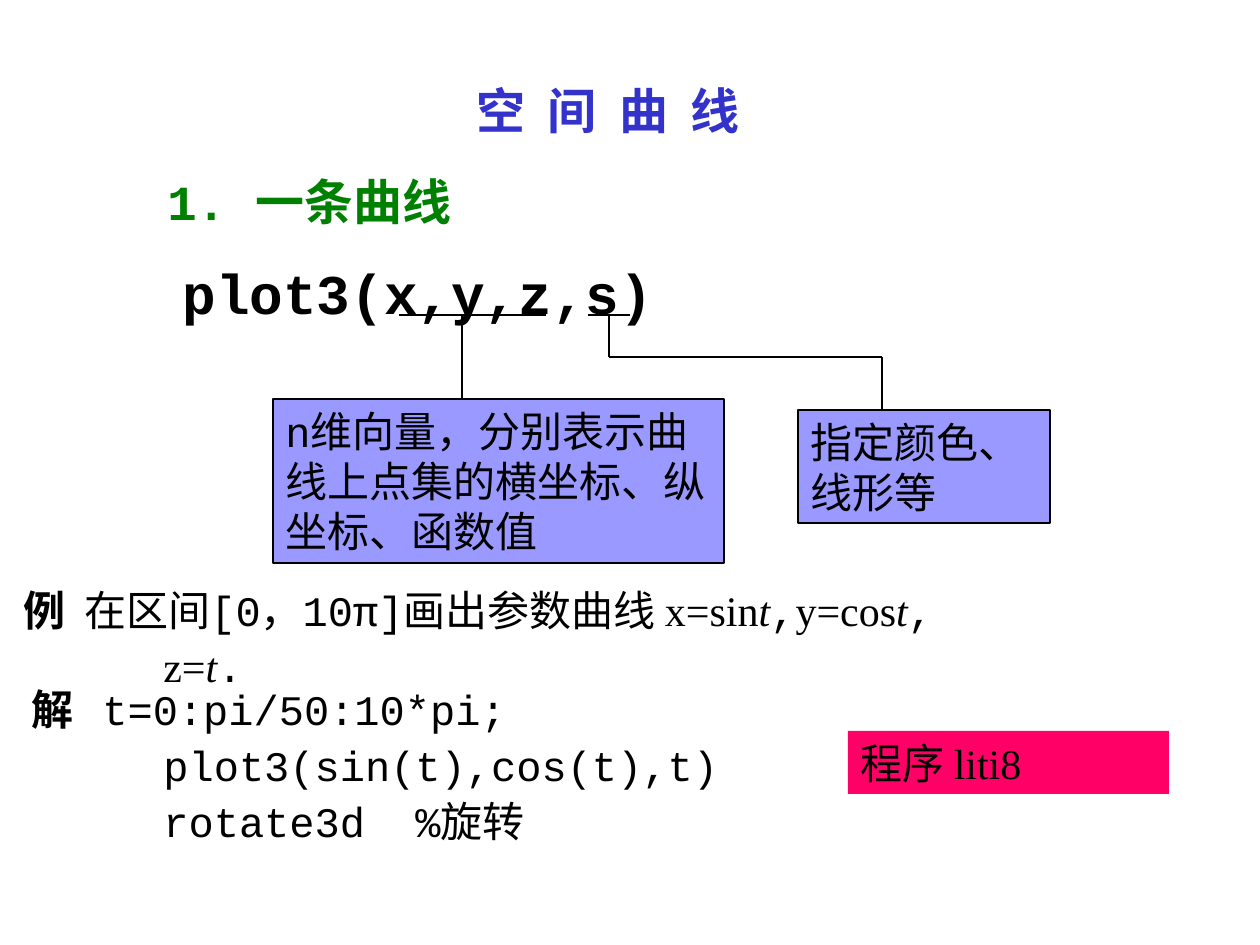
from itertools import pairwise

from lxml.etree import SubElement
from pptx import Presentation
from pptx.dml.color import RGBColor
from pptx.enum.shapes import MSO_CONNECTOR, MSO_SHAPE
from pptx.oxml.ns import qn
from pptx.util import Emu, Pt

PIXEL = 914400 // 126
CODE, SERIF = "Courier New", "Times New Roman"
MATH = {"font": SERIF}
VARIABLE = {"font": SERIF, "italic": True}
BOLD = {"bold": True}
HEADING = {"size": 28, "bold": True}

# Each paragraph: text margin, first-line indent, spans of (text, format).
TEXT_BOXES = [
    {"area": (42, 252, 1218, 126), "before": 8, "paragraphs": [
        (128, 0, [("plot3(x,y,z,s)", {"size": 32, "bold": True})])]},
    {"area": (453, 74, 315, 72), "before": 7, "paragraphs": [
        (11, 0, [("空 间 曲 线", {**HEADING, "color": "3333CC", "spacing": 3.3})])]},
    {"area": (0, 165, 672, 72), "before": 7, "paragraphs": [
        (155, 0, [("1. 一条曲线", {**HEADING, "color": "008000"})])]},
    {"area": (0, 584, 1365, 122), "before": 6, "line": 0.9, "paragraphs": [
        (72, -61, [("例\t", BOLD), ("在区间[0，10π]画出参数曲线 ", {}),
                   ("x=sin", MATH), ("t", VARIABLE), (",", {}),
                   ("y=cos", MATH), ("t", VARIABLE), (",", {})]),
        (151, 0, [("z=", MATH), ("t", VARIABLE), (".", {})])]},
    {"area": (0, 683, 742, 170), "before": 6, "line": 0.9, "paragraphs": [
        (90, -71, [("解\t", BOLD), ("t=0:pi/50:10*pi;", {})]),
        (151, 0, [("plot3(sin(t),cos(t),t)", {})]),
        (151, 0, [("rotate3d", {}), (" ", {"spacing": 14.4}), ("%旋转", {})])]},
    {"area": (848, 731, 321, 63), "before": 15, "fill": "FF0066", "paragraphs": [
        (0, 0, [("程序 liti8", MATH)])]},
]

# Each callout: a note box, an underline below the arguments, a leader to the box.
CALLOUTS = [
    {"area": (273, 399, 451, 164), "note": "n维向量，分别表示曲线上点集的横坐标、纵坐标、函数值",
     "underline": [(399, 315), (546, 315)],
     "leader": [(462, 315), (462, 399)]},
    {"area": (798, 410, 252, 113), "note": "指定颜色、线形等",
     "underline": [(588, 315), (630, 315)],
     "leader": [(609, 315), (609, 357), (882, 357), (882, 410)]},
]


def px(*values):
    """Turn pixels into EMU lengths."""
    return [Emu(value * PIXEL) for value in values]


def rgb(value):
    """Turn a hex string into a colour."""
    return RGBColor.from_string(value)


def add_span(para, text, size=24, font=CODE, color="000000",
             bold=False, italic=False, spacing=None):
    """Add one formatted piece of text to a paragraph."""
    span = para.add_run()
    span.text = text
    span.font.size, span.font.name = Pt(size), font
    span.font.bold, span.font.italic = bold, italic
    span.font.color.rgb = rgb(color)
    if spacing:
        span.font._element.set("spc", str(round(spacing * 100)))


def add_text_box(shapes, area, paragraphs, before, line=None, fill=None, border=None):
    """Add a box of text, plain or as a filled rectangle."""
    if fill:
        box = shapes.add_shape(MSO_SHAPE.RECTANGLE, *px(*area))
        box.shadow.inherit = False
        box.fill.solid()
        box.fill.fore_color.rgb = rgb(fill)
        if border:
            box.line.color.rgb, box.line.width = rgb(border), Pt(0.74)
        else:
            box.line.fill.background()
    else:
        box = shapes.add_textbox(*px(*area))
    frame = box.text_frame
    frame.word_wrap = True
    frame._txBody.bodyPr.set("anchor", "t")
    for number, (margin, indent, spans) in enumerate(paragraphs):
        para = frame.add_paragraph() if number else frame.paragraphs[0]
        para.space_before = Pt(before)
        para.line_spacing = line
        properties = para._p.get_or_add_pPr()
        properties.set("algn", "l")
        properties.set("marL", str(margin * PIXEL))
        properties.set("indent", str(indent * PIXEL))
        for text, style in spans:
            add_span(para, text, **style)


def add_lines(shapes, points):
    """Join neighbouring points with thin black lines."""
    for start, end in pairwise(points):
        line = shapes.add_connector(MSO_CONNECTOR.STRAIGHT, *px(*start, *end))
        line.line.color.rgb, line.line.width = rgb("000000"), Pt(0.74)
        SubElement(line._element.spPr, qn("a:effectLst"))


def add_callout(page, area, note, underline, leader):
    """Group a note box with its underline and leader."""
    shapes = page.shapes.add_group_shape().shapes
    add_text_box(shapes, area, [(0, 0, [(note, {})])], before=15,
                 fill="9999FF", border="000000")
    add_lines(shapes, underline)
    add_lines(shapes, leader)


deck = Presentation()
deck.slide_width, deck.slide_height = px(1260, 945)
page = deck.slides.add_slide(deck.slide_layouts[6])
for text_box in TEXT_BOXES:
    add_text_box(page.shapes, **text_box)
for callout in CALLOUTS:
    add_callout(page, **callout)
deck.save("out.pptx")
